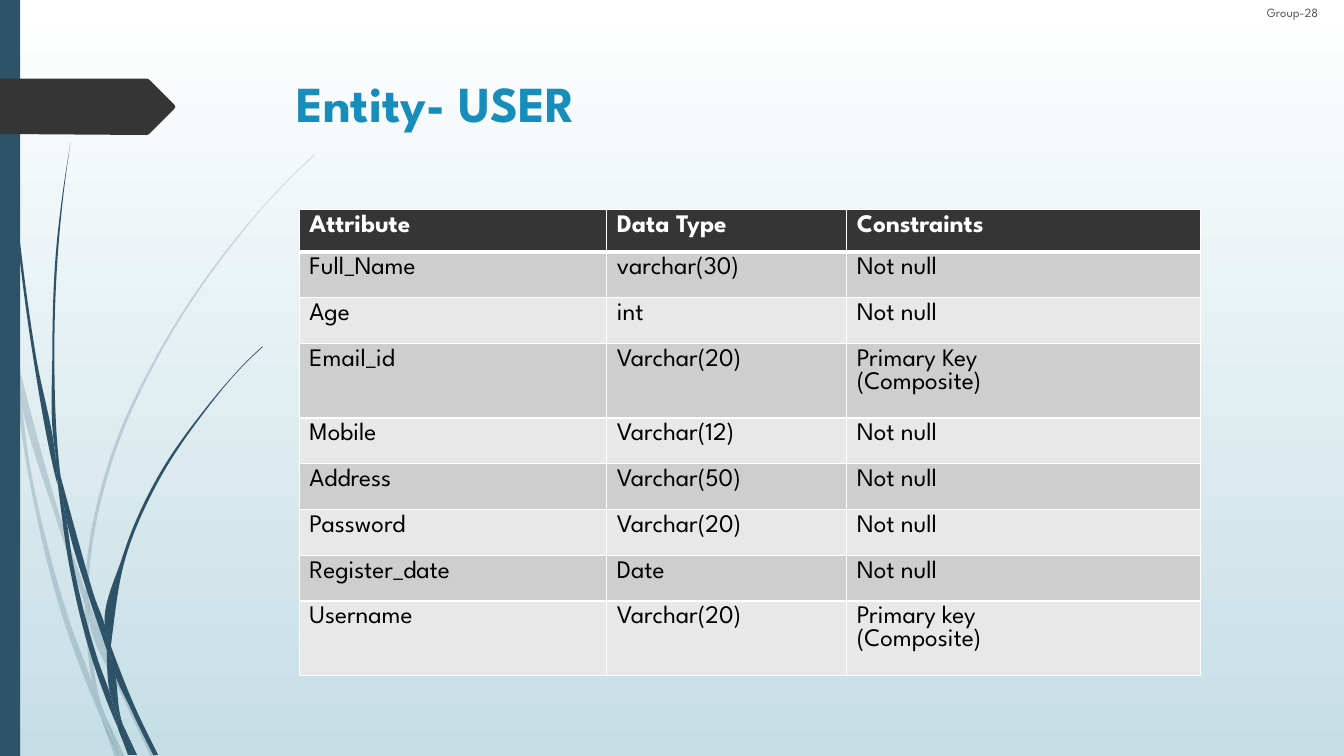
from math import dist

from lxml.etree import SubElement
from pptx import Presentation
from pptx.dml.color import RGBColor
from pptx.enum.shapes import MSO_SHAPE
from pptx.enum.text import MSO_ANCHOR, MSO_AUTO_SIZE, PP_ALIGN
from pptx.oxml import parse_xml
from pptx.oxml.ns import nsdecls, qn
from pptx.util import Inches, Pt

CELL = Inches(0.1)  # the grid: every length below counts these columns and rows
COLUMNS, ROWS = 133.33, 75

# Each blade of grass has a left and a right edge, listed from top to bottom.
FAINT_BLADES = [
    ([(0, 28.2), (.9, 32.2), (1.1, 35)], [(0, 29.9), (1, 34.4), (1.1, 35)]),
    ([(1.4, 34.5), (1.7, 37.6), (5.8, 52.2), (8.4, 59.9)],
     [(1.4, 34.5), (6.2, 52), (8.5, 58.6)]),
    ([(8.8, 59.6), (8.8, 61), (12.3, 69.4), (15, 75.1)],
     [(8.8, 59.6), (9.2, 60.7), (12.7, 69.2), (15.5, 75.1)]),
    ([(10.5, 71.1), (11.9, 75.1)], [(10.5, 71.1), (12.4, 75.1)]),
    ([(1.1, 35), (2.8, 47), (6.5, 62.1), (9.2, 69.3), (10.1, 71.4)],
     [(1.1, 35), (1.7, 37.6), (3.1, 46.9), (7, 61.9), (9.3, 68.3), (9.9, 70.7), (10.1, 71.4)]),
    ([(8.4, 59.9), (8.7, 64.6), (9.3, 68.3), (9.6, 69.2), (10.5, 71.1)],
     [(8.4, 59.9), (8.8, 60.8), (8.8, 61), (9.1, 64.6), (10.3, 70.6), (10.5, 71.1)]),
    ([(31.2, 15.3), (28.9, 17.5), (26.8, 19.7), (22.8, 24.4), (15.8, 34.8), (10.7, 46.1),
      (8.5, 58.4), (8.5, 58.6), (8.8, 59.6)],
     [(31.2, 15.4), (29, 17.5), (26.8, 19.8), (22.9, 24.5), (16, 34.9), (11, 46.2),
      (8.8, 58.4), (8.8, 59.6)]),
    ([(10.1, 71.4), (11.4, 75.1)], [(10.1, 71.4), (11.9, 75.1)]),
    ([(8.5, 58.6), (8.4, 59.9), (8.8, 60.8), (8.8, 61)], [(8.5, 58.6), (8.8, 59.6), (8.8, 61)]),
    ([(9.3, 68.3), (9.9, 70.7), (10.1, 71.4), (11.9, 75.1)],
     [(9.3, 68.3), (9.6, 69.2), (10.5, 71.1), (11.9, 75.1)]),
]
SOLID_BLADES = [
    ([(.3, 0), (.4, 4.8), (.7, 11), (1.7, 23.3), (3.3, 35.5), (5.6, 47.7), (5.7, 48.1)],
     [(.4, 0), (.5, 4.8), (.8, 10.9), (1.9, 23.2), (3.6, 35.5), (5.5, 45.3), (5.7, 48.1)]),
    ([(6, 47.2), (6.4, 50.5), (8.8, 59.2), (10.6, 64.5)],
     [(6, 47.2), (9.3, 59), (10.6, 63.1), (10.6, 64.5)]),
    ([(11, 64.1), (11.1, 65.6), (13.2, 70.8), (15.2, 74.9)],
     [(11, 64.1), (11.3, 64.9), (13.6, 70.6), (15.7, 74.9)]),
    ([(5.7, 47.7), (6.8, 55.7), (9.3, 65.9), (11.1, 70.8), (11.7, 72.2)],
     [(5.7, 47.7), (6.4, 50.5), (7.2, 55.6), (9.8, 65.7), (11, 69.1), (11.6, 71.7), (11.7, 72.2)]),
    ([(7, 14.1), (6.2, 19.3), (5.6, 24.5), (5.2, 34.9), (5.5, 44.9), (6, 47.2)],
     [(7, 14.1), (6.3, 19.3), (5.8, 24.5), (5.4, 34.9), (5.8, 45.3), (6, 47.2)]),
    ([(12.2, 71.9), (13.3, 74.9)], [(12.2, 71.9), (13.6, 74.9)]),
    ([(5.5, 44.9), (5.5, 45.3), (5.7, 47.7), (6.4, 50.5)], [(5.5, 44.9), (6, 47.2), (6.4, 50.5)]),
    ([(26, 34.4), (24.5, 35.8), (23.1, 37.3), (20.4, 40.5), (15.6, 47.4), (12.2, 55.1),
      (10.6, 63.1), (11, 64.1)],
     [(26.1, 34.4), (24.5, 35.9), (23.1, 37.4), (20.5, 40.6), (15.8, 47.6), (12.5, 55.2),
      (11.1, 63.3), (11, 64.1)]),
    ([(11.7, 72.2), (12.7, 74.9)], [(11.7, 72.2), (13.1, 74.9)]),
    ([(10.6, 64.5), (11, 69.1), (11.6, 70.6), (12.2, 71.9)],
     [(10.6, 64.5), (10.9, 65.1), (11.1, 65.6), (12.1, 71.6), (12.2, 71.9)]),
    ([(10.6, 63.1), (10.6, 64.5), (10.9, 65.1), (11.1, 65.6)],
     [(10.6, 63.1), (11, 64.1), (11.1, 65.6)]),
    ([(11, 69.1), (11.6, 71.7), (11.7, 72.2), (13, 74.9)],
     [(11, 69.1), (11.6, 70.6), (12.2, 71.9), (13.3, 74.9)]),
]
PAGE_TAG = [(0, 7.8), (14.6, 7.8), (14.8, 7.9), (17.3, 10.4), (17.4, 10.6),
            (17.3, 10.8), (14.8, 13.3), (14.6, 13.4), (0, 13.3)]
ATTRIBUTES = [
    ("Attribute", "Data Type", "Constraints"),
    ("Full_Name", "varchar(30)", "Not null"),
    ("Age", "int", "Not null"),
    ("Email_id", "Varchar(20)", "Primary Key\n(Composite)"),
    ("Mobile", "Varchar(12)", "Not null"),
    ("Address", "Varchar(50)", "Not null"),
    ("Password", "Varchar(20)", "Not null"),
    ("Register_date", "Date", "Not null"),
    ("Username", "Varchar(20)", "Primary key\n(Composite)"),
]


def cells(*counts):
    """Turn counts of grid cells into lengths."""
    return [round(count * CELL) for count in counts]


def color(hex_text):
    """Turn a hex string into a colour."""
    return RGBColor.from_string(hex_text)


def set_gradient(fill, stops):
    """Fill from top to bottom between two (position, hex) stops."""
    fill.gradient()
    fill.gradient_angle = 270
    for stop, (position, hex_text) in zip(fill.gradient_stops, stops):
        stop.position, stop.color.rgb = position, color(hex_text)


def write(frame, text, size=18, font="League Spartan", fill="000000", bold=False,
          align=PP_ALIGN.LEFT):
    """Put text in a frame, one paragraph a line; fill is a hex string or gradient stops."""
    frame.text = text
    frame.word_wrap = True
    for paragraph in frame.paragraphs:
        paragraph.alignment = align
        for run in paragraph.runs:
            run.font.size, run.font.name, run.font.bold = Pt(size), font, bold
            if isinstance(fill, str):
                run.font.color.rgb = color(fill)
            else:
                set_gradient(run.font.fill, fill)


def slope(before, here, after):
    """Find the direction of a curve at a point from its two neighbours."""
    near, far = dist(before, here) or 1, dist(here, after) or 1
    return [((h - b) * far / near + (a - h) * near / far) / (near + far)
            for b, h, a in zip(before, here, after)]


def smooth(points):
    """List two handles and an end for each curve through the points."""
    padded = [points[0], *points, points[-1]]
    slopes = [slope(*three) for three in zip(padded, padded[1:], padded[2:])]
    curve = []
    for start, end, leave, arrive in zip(points, points[1:], slopes, slopes[1:]):
        reach = dist(start, end) / 3
        curve += [[s + reach * d for s, d in zip(start, leave)],
                  [e - reach * d for e, d in zip(end, arrive)], end]
    return curve


class SlideBuilder:
    """Holds the colours and the current slide."""
    accent, dark, bands = "2E5369", "353535", ("E8E8E8", "CECECE")

    def __init__(self, presentation):
        """Start a title-only slide."""
        self.slide = presentation.slides.add_slide(presentation.slide_layouts[5])
        self.shapes = self.slide.shapes

    def paint(self, shape, fill, opacity=100):
        """Give a shape a flat fill with no line or shadow."""
        shape.shadow.inherit = False
        shape.line.fill.background()
        shape.fill.solid()
        shape.fill.fore_color.rgb = color(fill)
        if opacity < 100:
            tone = shape.element.spPr.find(qn("a:solidFill"))[0]
            SubElement(tone, qn("a:alpha")).set("val", str(opacity * 1000))

    def outline(self, points, fill, opacity=100, shapes=None):
        """Draw a closed outline through grid points."""
        corners = [cells(*point) for point in points]
        builder = (shapes or self.shapes).build_freeform(*corners[0], scale=1)
        builder.add_line_segments(corners[1:], close=True)
        shape = builder.convert_to_shape()
        self.paint(shape, fill, opacity)
        return shape

    def blade(self, left, right, opacity, shapes):
        """Draw one curved blade, turning each three line segments into one curve."""
        bottom = [] if left[-1] == right[-1] else smooth([left[-1], right[-1]])
        points = [left[0], *smooth(left), *bottom, *smooth(right[::-1])]
        shape = self.outline(points, self.accent, opacity, shapes)
        lines = list(shape.element.spPr.iter(qn("a:lnTo")))
        for first, second, third in zip(lines[::3], lines[1::3], lines[2::3]):
            curve = SubElement(first.getparent(), qn("a:cubicBezTo"))
            curve.extend([first[0], second[0], third[0]])
            first.addprevious(curve)
            for line in (first, second, third):
                line.getparent().remove(line)

    def grass(self, blades, opacity=100):
        """Draw a group of blades."""
        group = self.shapes.add_group_shape()
        for left, right in blades:
            self.blade(left, right, opacity, group.shapes)

    def bar(self, *place):
        """Draw a plain bar."""
        self.paint(self.shapes.add_shape(MSO_SHAPE.RECTANGLE, *cells(*place)), self.accent)

    def move_to_layout(self):
        """Move the decoration drawn so far to the slide's layout."""
        tree = self.slide.slide_layout.placeholders[0].element.getparent()
        for shape in list(self.shapes):
            if not shape.is_placeholder:
                tree.append(shape.element)

    def title(self, text, *place):
        """Fill the title placeholder."""
        title = self.shapes.title
        title.left, title.top, title.width, title.height = cells(*place)
        frame = title.text_frame
        write(frame, text, size=36, fill="178DBB", bold=True)
        frame.auto_size, frame.vertical_anchor = MSO_AUTO_SIZE.NONE, MSO_ANCHOR.TOP
        frame.margin_top = cells(0.4)[0]

    def label(self, text, *place, **style):
        """Add a text box."""
        frame = self.shapes.add_textbox(*cells(*place)).text_frame
        write(frame, text, **style)
        frame.auto_size = MSO_AUTO_SIZE.SHAPE_TO_FIT_TEXT

    def border(self, cell, bottom):
        """Draw white lines round a cell, with its own bottom width."""
        properties = cell._tc.get_or_add_tcPr()
        for index, (side, width) in enumerate(zip("LRTB", (1, 1, 1, bottom))):
            properties.insert(index, parse_xml(
                f'<a:ln{side} {nsdecls("a")} w="{Pt(width)}"><a:solidFill>'
                f'<a:srgbClr val="FFFFFF"/></a:solidFill></a:ln{side}>'))

    def table(self, rows, left, top, widths, heights):
        """Add a table with a dark header and banded rows."""
        place = cells(left, top, sum(widths), sum(heights))
        table = self.shapes.add_table(len(rows), len(widths), *place).table
        for column, width in zip(table.columns, cells(*widths)):
            column.width = width
        for index, (row, height) in enumerate(zip(rows, cells(*heights))):
            header = index == 0
            table.rows[index].height = height
            for cell, text in zip(table.rows[index].cells, row):
                write(cell.text_frame, text, bold=header, fill="FFFFFF" if header else "000000")
                cell.fill.solid()
                cell.fill.fore_color.rgb = color(self.dark if header else self.bands[index % 2])
                self.border(cell, bottom=3 if header else 1)


presentation = Presentation()
presentation.slide_width, presentation.slide_height = cells(COLUMNS, ROWS)
page = SlideBuilder(presentation)
set_gradient(page.slide.background.fill, [(0, "FFFFFF"), (1, "C5DEE5")])
page.grass(FAINT_BLADES, opacity=20)
page.grass(SOLID_BLADES)
page.bar(0, 0, 2, ROWS)
page.outline(PAGE_TAG, page.dark)
page.move_to_layout()
page.title("Entity- USER", 28.4, 6.8, 97.5, 14)
row_heights = [4.2] + [7.4 if "\n" in row[-1] else 4.54 for row in ATTRIBUTES[1:]]
page.table(ATTRIBUTES, 29.7, 20.8, (30.5, 23.8, 35.1), row_heights)
page.label("Group-28", COLUMNS - 10.2, 0, 10.2, 2.5, size=9, align=PP_ALIGN.CENTER,
           fill=[(0.21, "53575C"), (0.88, "C5C7CA")])
presentation.save("out.pptx")
